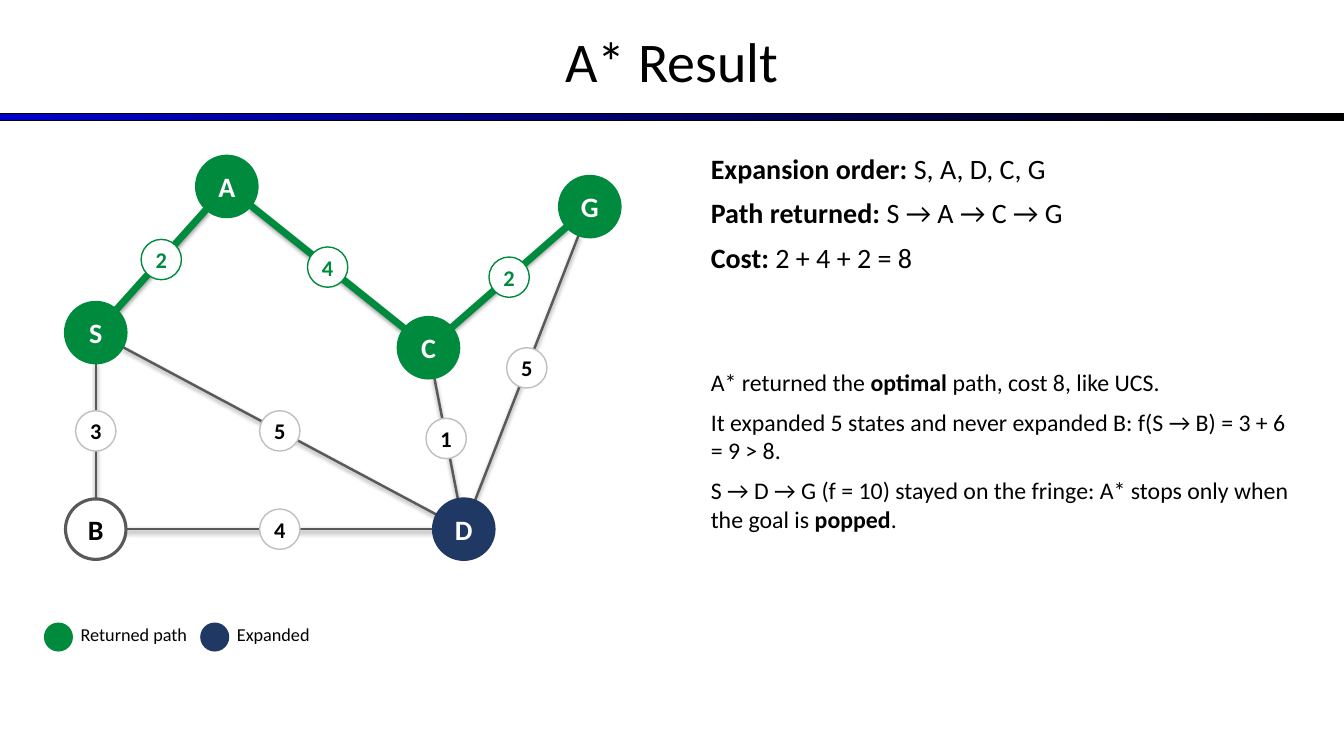
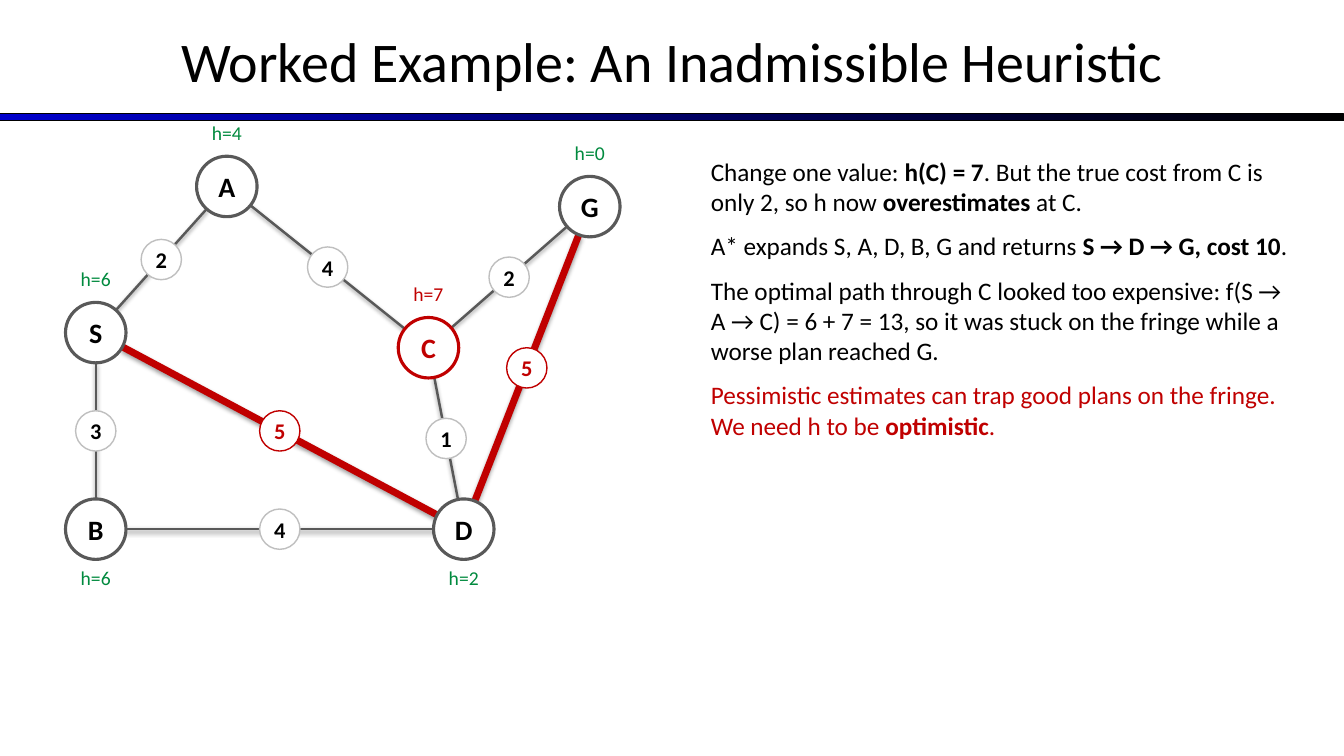
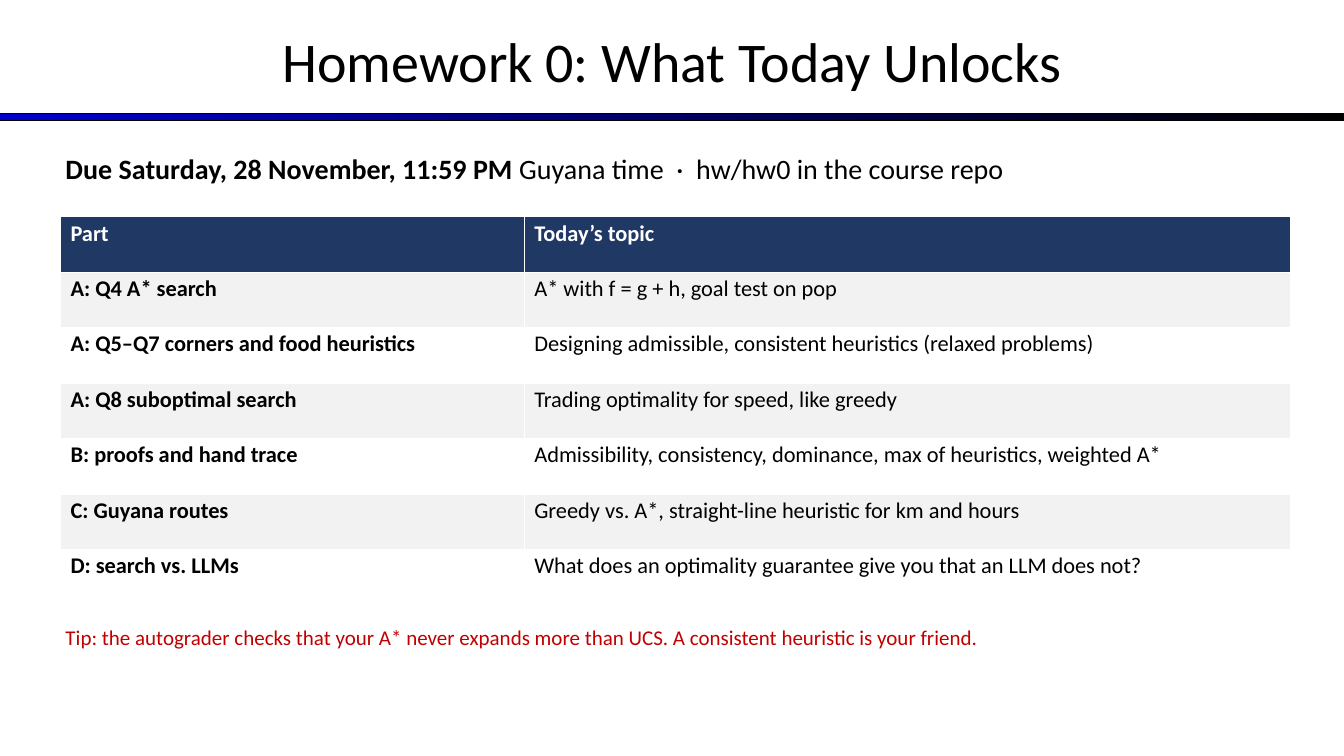
"""Three slides on A* search: its result, a bad heuristic and the homework."""
import math

import pptx
import pptx.dml.color
import pptx.enum.shapes
import pptx.enum.text
import pptx.util

BLACK, WHITE, GREY, PALE = "000000", "FFFFFF", "595959", "BFBFBF"
GREEN, RED, NAVY, BLUE, STRIPE = "008A3E", "C00000", "1F3864", "0000CC", "F2F2F2"
FACE = "Calibri"
SCALE = 9144
WIDE, HIGH = 1333, 750
ROUND = 30

NODES = {"A": (225, 185), "G": (585, 205), "S": (95, 330),
         "C": (425, 345), "B": (95, 525), "D": (460, 525)}
EDGES = {"SA": 2, "SB": 3, "SD": 5, "AC": 4, "BD": 4, "CD": 1, "CG": 2, "DG": 5}
PLAIN = (WHITE, GREY, BLACK)
ALIGN = pptx.enum.text.PP_ALIGN
MIDDLE = pptx.enum.text.MSO_ANCHOR.MIDDLE
KIND = pptx.enum.shapes.MSO_SHAPE


def px(*sizes):
    return [pptx.util.Emu(round(size * SCALE)) for size in sizes]


def hue(code):
    return pptx.dml.color.RGBColor.from_string(code)


class Deck:
    def __init__(self):
        self.file = pptx.Presentation()
        self.file.slide_width, self.file.slide_height = px(WIDE, HIGH)
        self.slide = None

    def font(self, para, size, ink, bold=False):
        para.font.name = FACE
        para.font.size = pptx.util.Pt(size)
        para.font.color.rgb = hue(ink)
        para.font.bold = bold

    def page(self, title):
        self.slide = self.file.slides.add_slide(self.file.slide_layouts[5])
        band = self.shape(KIND.RECTANGLE, (0, 113, WIDE, 7), BLACK, BLACK, 0.75)
        band.fill.gradient()
        band.fill.gradient_angle = 0
        for stop, code in zip(band.fill.gradient_stops, (BLUE, BLACK)):
            stop.color.rgb = hue(code)
        for stop, place in zip(band.fill.gradient_stops, (0, 1)):
            stop.position = place
        head = self.slide.shapes.title
        head.left, head.top, head.width, head.height = px(0, -3, WIDE, 125)
        head.text_frame.text = title
        head.text_frame.vertical_anchor = MIDDLE
        para = head.text_frame.paragraphs[0]
        para.alignment = ALIGN.CENTER
        self.font(para, 40, BLACK)

    def shape(self, kind, box, fill, line, width):
        shape = self.slide.shapes.add_shape(kind, *px(*box))
        shape.shadow.inherit = False
        shape.fill.solid()
        shape.fill.fore_color.rgb = hue(fill)
        shape.line.color.rgb = hue(line)
        shape.line.width = pptx.util.Pt(width)
        return shape

    def disc(self, mid, wide, fill, line, width):
        x, y = mid
        box = (x - wide / 2, y - wide / 2, wide, wide)
        return self.shape(KIND.OVAL, box, fill, line, width)

    def badge(self, mid, wide, look, width, text, size):
        fill, line, ink = look
        frame = self.disc(mid, wide, fill, line, width).text_frame
        self.inset(frame, 0, 0)
        frame.vertical_anchor = MIDDLE
        para = frame.paragraphs[0]
        para.text = text
        para.alignment = ALIGN.CENTER
        self.font(para, size, ink, True)

    def inset(self, part, side, end):
        part.margin_left, part.margin_right = px(side, side)
        part.margin_top, part.margin_bottom = px(end, end)

    def text(self, box, lines, size, ink=BLACK, after=4, align=ALIGN.LEFT):
        frame = self.slide.shapes.add_textbox(*px(*box)).text_frame
        frame.word_wrap = True
        frame.auto_size = pptx.enum.text.MSO_AUTO_SIZE.SHAPE_TO_FIT_TEXT
        self.inset(frame, 5, 5)
        for index, line in enumerate(lines):
            para = frame.add_paragraph() if index else frame.paragraphs[0]
            para.alignment = align
            para.space_after = pptx.util.Pt(after)
            self.font(para, size, ink)
            for turn, piece in enumerate(line.split("|")):
                if piece:
                    run = para.add_run()
                    run.text = piece
                    if turn % 2:
                        run.font.bold = True
        return frame.paragraphs

    def edge(self, pair, cost, ink=None):
        (ax, ay), (bx, by) = NODES[pair[0]], NODES[pair[1]]
        part = ROUND / math.hypot(bx - ax, by - ay)
        dx, dy = (bx - ax) * part, (by - ay) * part
        line = self.slide.shapes.add_connector(
            pptx.enum.shapes.MSO_CONNECTOR.STRAIGHT,
            *px(ax + dx, ay + dy, bx - dx, by - dy))
        line.line.color.rgb = hue(ink or GREY)
        line.line.width = pptx.util.Pt(5 if ink else 1.75)
        look = (WHITE, ink or PALE, ink or BLACK)
        self.badge(((ax + bx) / 2, (ay + by) / 2), 40, look, 1, str(cost), 16)

    def graph(self, route, ink, looks):
        for pair, cost in EDGES.items():
            self.edge(pair, cost, ink if pair in route else None)
        for name, mid in NODES.items():
            self.badge(mid, 2 * ROUND, looks.get(name, PLAIN), 2.25, name, 20)

    def guess(self, name, value, ink):
        x, y = NODES[name]
        top = y + 32 if name in "BD" else y - 70
        self.text((x - 55, top, 110, 34), [f"h={value}"], 14, ink, align=ALIGN.CENTER)

    def key(self, x, label, ink):
        self.disc((x + 13, 632), 26, ink, ink, 2)
        self.text((x + 30, 613, 125, 36), [label], 13)

    def table(self, spot, cols, high, rows):
        grid = self.slide.shapes.add_table(
            len(rows), len(cols), *px(*spot, sum(cols), high * len(rows))).table
        for col, wide in zip(grid.columns, px(*cols)):
            col.width = wide
        for r, row in enumerate(rows):
            for c, text in enumerate(row):
                cell = grid.cell(r, c)
                self.inset(cell, 10, 3)
                cell.fill.solid()
                cell.fill.fore_color.rgb = hue(
                    NAVY if r == 0 else STRIPE if r % 2 else WHITE)
                para = cell.text_frame.paragraphs[0]
                para.text = text
                self.font(para, 16, BLACK if r else WHITE, r == 0 or c == 0)


def main():
    deck = Deck()

    deck.page("A* Result")
    looks = dict.fromkeys("SACG", (GREEN, GREEN, WHITE))
    looks["D"] = (NAVY, NAVY, WHITE)
    deck.graph(("SA", "AC", "CG"), GREEN, looks)
    deck.key(45, "Returned path", GREEN)
    deck.key(200, "Expanded", NAVY)
    deck.text((700, 145, 590, 220), [
        "|Expansion order:| S, A, D, C, G",
        "|Path returned:| S → A → C → G",
        "|Cost:| 2 + 4 + 2 = 8"], 20, after=8)
    deck.text((700, 360, 590, 280), [
        "A* returned the |optimal| path, cost 8, like UCS.",
        "It expanded 5 states and never expanded B: f(S → B) = 3 + 6 = 9 > 8.",
        "S → D → G (f = 10) stayed on the fringe: A* stops only when "
        "the goal is |popped|."], 17, after=8)

    deck.page("Worked Example: An Inadmissible Heuristic")
    deck.graph(("SD", "DG"), RED, {"C": (WHITE, RED, RED)})
    for name, value in zip("AGSCBD", (4, 0, 6, 7, 6, 2)):
        deck.guess(name, value, RED if name == "C" else GREEN)
    notes = deck.text((700, 150, 590, 500), [
        "Change one value: |h(C) = 7|. But the true cost from C is only 2, "
        "so h now |overestimates| at C.",
        "A* expands S, A, D, B, G and returns |S → D → G, cost 10|.",
        "The optimal path through C looked too expensive: "
        "f(S → A → C) = 6 + 7 = 13, so it was stuck on the fringe "
        "while a worse plan reached G.",
        "Pessimistic estimates can trap good plans on the fringe. "
        "We need h to be |optimistic|."], 18, after=10)
    deck.font(notes[-1], 18, RED)

    deck.page("Homework 0: What Today Unlocks")
    deck.text((60, 145, 1220, 60), [
        "|Due Saturday, 28 November, 11:59 PM| Guyana time  ·  "
        "hw/hw0 in the course repo"], 20)
    deck.table((60, 215), (460, 760), 55, [
        ("Part", "Today’s topic"),
        ("A: Q4 A* search", "A* with f = g + h, goal test on pop"),
        ("A: Q5–Q7 corners and food heuristics",
         "Designing admissible, consistent heuristics (relaxed problems)"),
        ("A: Q8 suboptimal search", "Trading optimality for speed, like greedy"),
        ("B: proofs and hand trace",
         "Admissibility, consistency, dominance, max of heuristics, weighted A*"),
        ("C: Guyana routes",
         "Greedy vs. A*, straight-line heuristic for km and hours"),
        ("D: search vs. LLMs",
         "What does an optimality guarantee give you that an LLM does not?")])
    deck.text((60, 615, 1220, 50), [
        "Tip: the autograder checks that your A* never expands more than UCS. "
        "A consistent heuristic is your friend."], 15, RED)

    deck.file.save("out.pptx")


if __name__ == "__main__":
    main()
